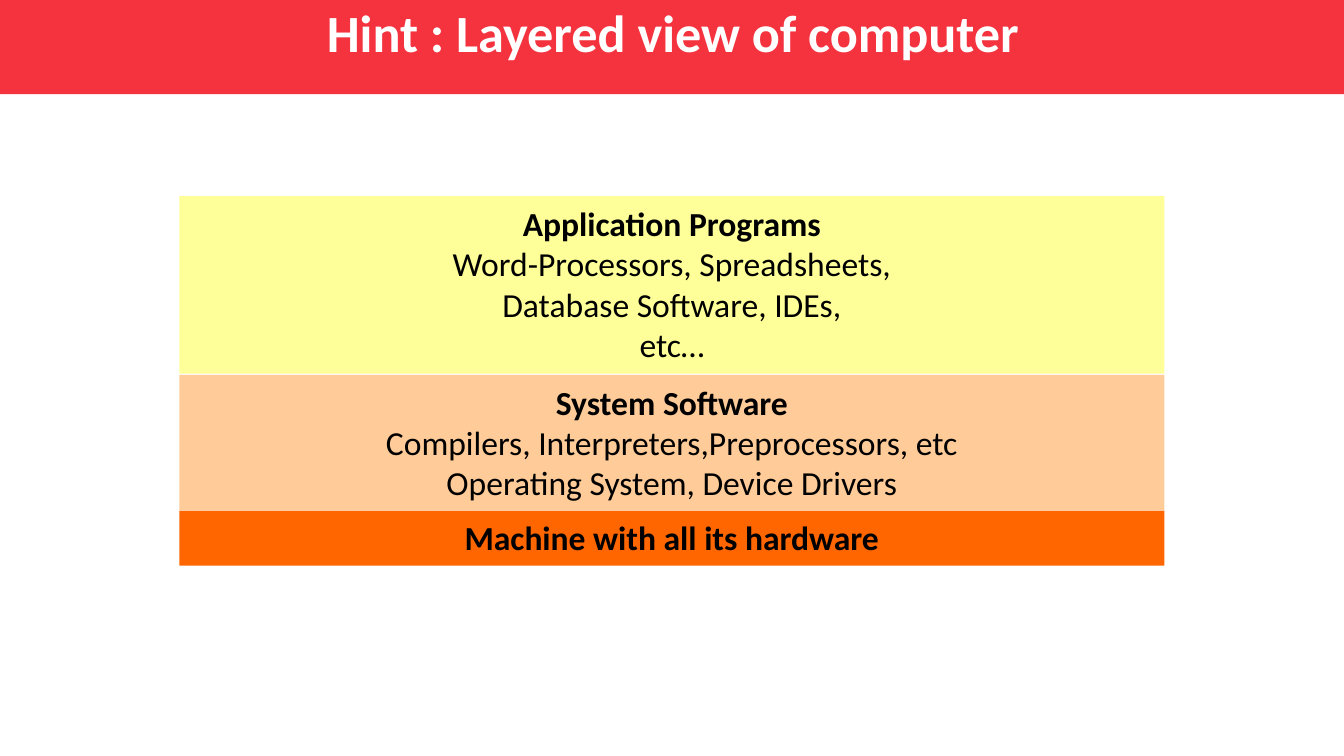
from dataclasses import dataclass

from pptx import Presentation
from pptx.dml.color import RGBColor
from pptx.enum.shapes import MSO_SHAPE as Shape
from pptx.enum.text import MSO_ANCHOR as Anchor, MSO_AUTO_SIZE as AutoSize, PP_ALIGN as Align
from pptx.util import Inches, Pt


@dataclass(frozen=True)
class Theme:
    """Colours, font and type sizes of the slide."""
    font: str = "Calibri"
    title_size: int = 28
    body_size: int = 18
    banner: str = "F4333F"
    title_text: str = "FFFFFF"
    body_text: str = "000000"
    application: str = "FFFF99"
    system: str = "FFCC99"
    hardware: str = "FF6600"


def add_span(para, text, *, font, size, color, bold=False):
    """Append formatted text to a paragraph."""
    span = para.add_run()
    span.text = text
    span.font.name = font
    span.font.size = Pt(size)
    span.font.bold = bold
    span.font.color.rgb = RGBColor.from_string(color)


class LayerSlide:
    """Holds the theme and the current slide."""

    def __init__(self, deck, theme):
        """Start a title-only slide."""
        self.theme = theme
        self.width = deck.slide_width
        self.page = deck.slides.add_slide(deck.slide_layouts[5])

    def fill(self, box, color):
        """Give a box a plain fill without an outline."""
        box.fill.solid()
        box.fill.fore_color.rgb = RGBColor.from_string(color)
        box.line.fill.background()

    def title(self, text, height):
        """Turn the title placeholder into a banner."""
        box = self.page.shapes.title
        box.left, box.top = Inches(0), Inches(0)
        box.width, box.height = self.width, Inches(height)
        self.fill(box, self.theme.banner)
        frame = box.text_frame
        frame.margin_right = frame.margin_top = frame.margin_bottom = 0
        frame.margin_left = Inches(0.01)
        frame.vertical_anchor = Anchor.TOP
        frame.auto_size = AutoSize.NONE
        frame.word_wrap = True
        para = frame.paragraphs[0]
        para.alignment = Align.CENTER
        add_span(para, text, font=self.theme.font, size=self.theme.title_size,
                 color=self.theme.title_text, bold=True)

    def layer(self, group, top, height, color, lines):
        """Add one centred layer with a bold heading above its plain lines."""
        width = Inches(7.33)
        box = group.shapes.add_shape(Shape.RECTANGLE, (self.width - width) // 2,
                                     Inches(top), width, Inches(height))
        box.shadow.inherit = False
        self.fill(box, color)
        frame = box.text_frame
        frame.word_wrap = True
        frame.vertical_anchor = Anchor.TOP
        frame.auto_size = AutoSize.SHAPE_TO_FIT_TEXT
        para = frame.paragraphs[0]
        para.alignment = Align.CENTER
        for index, line in enumerate(lines):
            if index:
                para.add_line_break()
            add_span(para, line, font=self.theme.font, size=self.theme.body_size,
                     color=self.theme.body_text, bold=index == 0)

    def stack(self, layers):
        """Group the layers into one stack."""
        group = self.page.shapes.add_group_shape()
        for layer in layers:
            self.layer(group, *layer)


def main():
    """Build and save the deck."""
    deck = Presentation()
    deck.slide_width = Inches(10)
    deck.slide_height = deck.slide_width * 9 // 16
    theme = Theme()
    slide = LayerSlide(deck, theme)
    slide.title("Hint : Layered view of computer", 0.7)
    slide.stack([
        (3.8, 0.41, theme.hardware, ["Machine with all its hardware"]),
        (2.79, 1.01, theme.system, [
            "System Software",
            "Compilers, Interpreters,Preprocessors, etc",
            "Operating System, Device Drivers",
        ]),
        (1.46, 1.32, theme.application, [
            "Application Programs",
            "Word-Processors, Spreadsheets,",
            "Database Software, IDEs,",
            "etc…",
        ]),
    ])
    deck.save("out.pptx")


if __name__ == "__main__":
    main()
